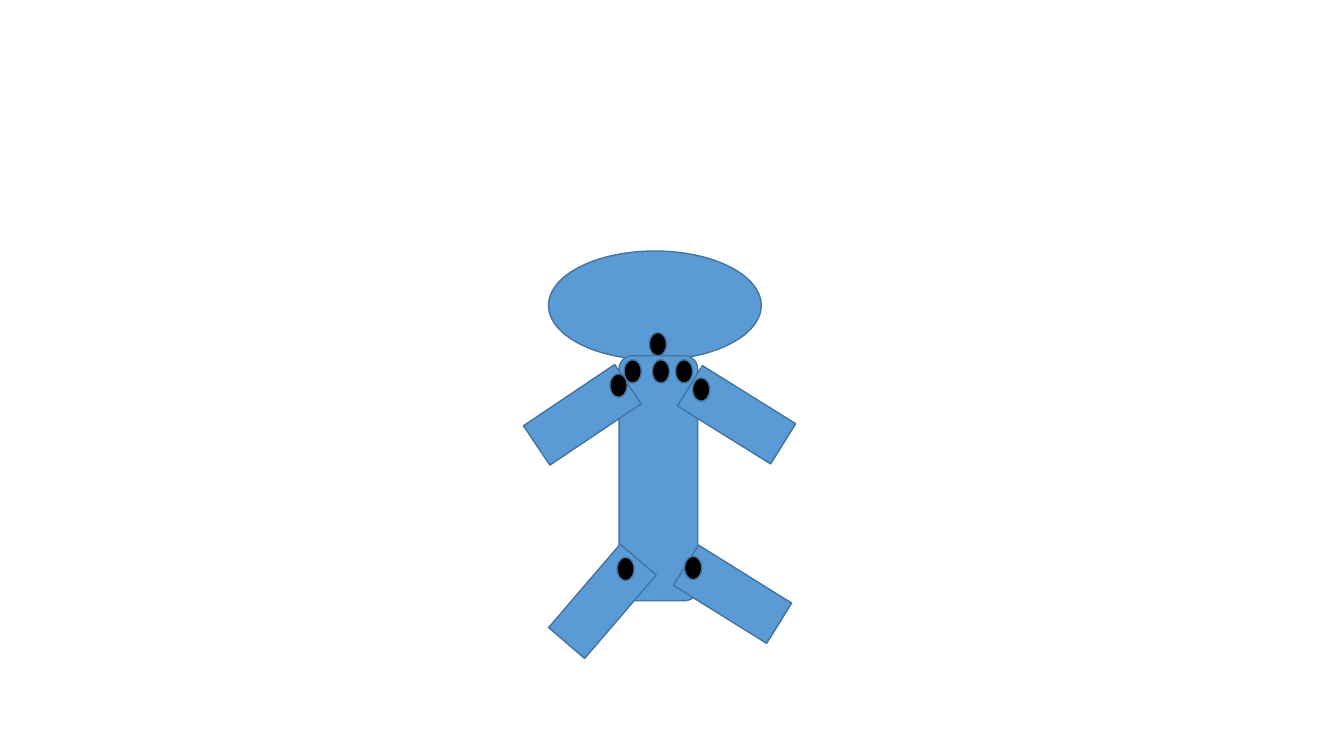
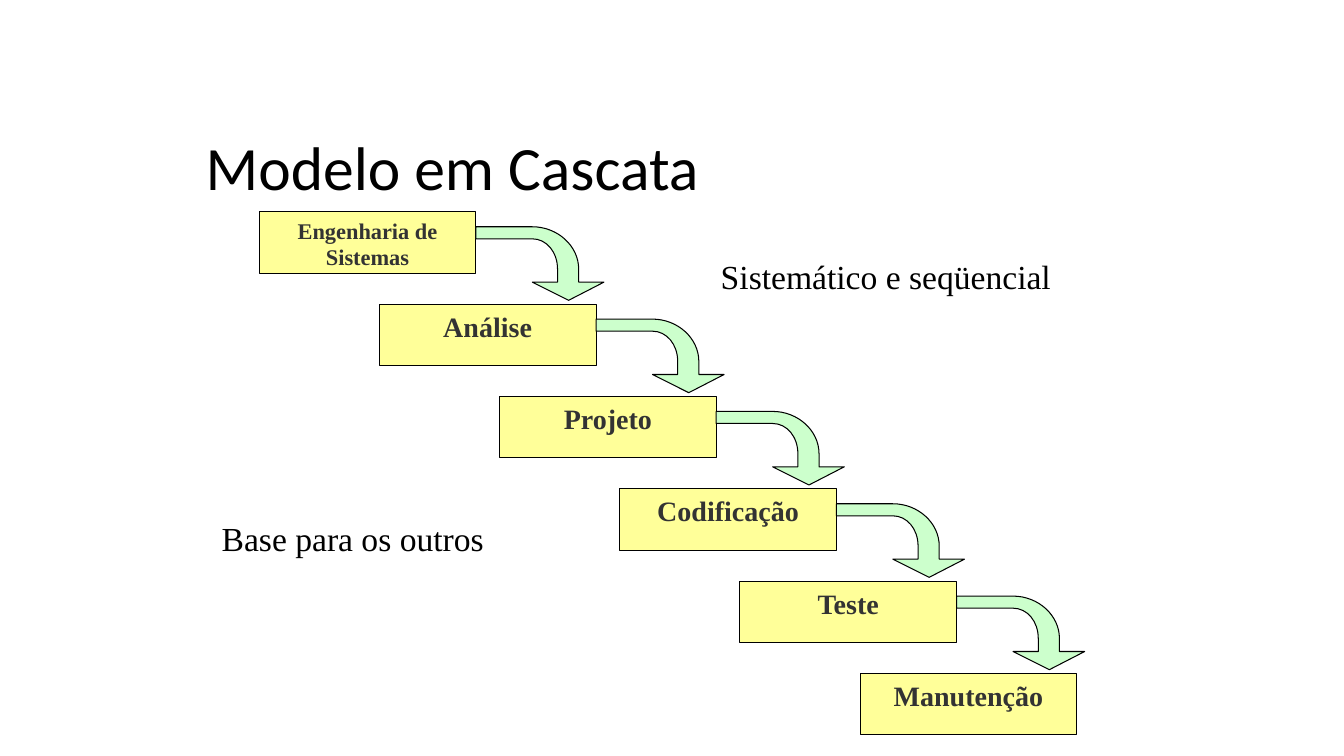
from lxml.etree import SubElement
from pptx import Presentation
from pptx.dml.color import RGBColor
from pptx.enum.shapes import MSO_SHAPE
from pptx.enum.text import MSO_ANCHOR, MSO_AUTO_SIZE, PP_ALIGN
from pptx.oxml.ns import qn
from pptx.util import Inches, Pt

COLORS = {
    "body": "5B9BD5",
    "outline": "43739E",
    "black": "000000",
    "step": "FFFF99",
    "step_text": "333333",
    "arrow": "CCFFCC",
}
TITLE_FONT = "Calibri"
TEXT_FONT = "Times New Roman"

LIMBS = [(1.83, 2.86, 121.9), (0.54, 2.93, 40.6), (1.87, 1.08, 121.9), (0.34, 1.08, 56.1)]
JOINTS = [
    (1.24, 0.81), (1.27, 1.08), (1.5, 1.08), (1.67, 1.26),
    (0.99, 1.08), (0.85, 1.22), (0.92, 3.04), (1.59, 3.03),
]
STEPS = ["Engenharia de Sistemas", "Análise", "Projeto", "Codificação", "Teste", "Manutenção"]
STEP_WIDTH, STEP_HEIGHT = 2.15, 0.61
ARROW_DROP = 0.15
ARROW_OUTLINE = [
    (0.92, 0.73), (1.27, 0.55), (1.02, 0.55), (1.02, 0.42),
    (1.02, 0.19), (0.81, 0), (0.56, 0),
    (0, 0), (0, 0.12), (0.56, 0.12),
    (0.7, 0.12), (0.81, 0.25), (0.81, 0.42),
    (0.81, 0.55), (0.56, 0.55),
]
ARROW_CURVES = (4, 10)


def color(name):
    return RGBColor.from_string(COLORS[name])


def paint(shape, fill, line, weight):
    shape.shadow.inherit = False
    shape.fill.solid()
    shape.fill.fore_color.rgb = color(fill)
    shape.line.color.rgb = color(line)
    shape.line.width = Pt(weight)


def add_box(parent, kind, left, top, width, height, fill, line, weight):
    box = parent.shapes.add_shape(kind, Inches(left), Inches(top), Inches(width), Inches(height))
    paint(box, fill, line, weight)
    return box


def write(frame, text, font, size, ink="black", bold=False, align=PP_ALIGN.LEFT):
    frame.text = text
    para = frame.paragraphs[0]
    para.alignment = align
    para.font.name = font
    para.font.size = Pt(size)
    para.font.bold = bold
    para.font.color.rgb = color(ink)


def add_figure(page, left, top):
    def part(kind, x, y, width, height, fill="body"):
        return add_box(page, kind, left + x, top + y, width, height, fill, "outline", 1)

    part(MSO_SHAPE.OVAL, 0.24, 0, 2.11, 1.08)
    part(MSO_SHAPE.ROUNDED_RECTANGLE, 0.94, 1.04, 0.78, 2.43)
    for x, y, angle in LIMBS:
        part(MSO_SHAPE.FLOWCHART_PROCESS, x, y, 0.47, 1.09).rotation = angle
    for x, y in JOINTS:
        part(MSO_SHAPE.FLOWCHART_CONNECTOR, x, y, 0.17, 0.23, "black")


def bend(shape, starts):
    segments = list(shape.element.iter(qn("a:lnTo")))
    for start in starts:
        lines = segments[start - 1:start + 2]
        outline = lines[0].getparent()
        bezier = SubElement(outline, qn("a:cubicBezTo"))
        outline.insert(outline.index(lines[0]), bezier)
        for line in lines:
            bezier.append(line[0])
            outline.remove(line)


def add_bent_arrow(parent, left, top):
    points = [(Inches(left + x), Inches(top + y)) for x, y in ARROW_OUTLINE]
    builder = parent.shapes.build_freeform(*points[0])
    builder.add_line_segments(points[1:], close=True)
    arrow = builder.convert_to_shape()
    bend(arrow, ARROW_CURVES)
    paint(arrow, "arrow", "black", 0.75)


def add_cascade(page, left, top, width, height):
    group = page.shapes.add_group_shape()
    gaps = len(STEPS) - 1
    step_x = (width - STEP_WIDTH) / gaps
    step_y = (height - STEP_HEIGHT) / gaps
    corners = [(left + i * step_x, top + i * step_y) for i in range(len(STEPS))]
    for (x, y), label in zip(corners, STEPS):
        box = add_box(group, MSO_SHAPE.RECTANGLE, x, y, STEP_WIDTH, STEP_HEIGHT,
                      "step", "black", 0.75)
        box.text_frame.word_wrap = True
        box.text_frame.vertical_anchor = MSO_ANCHOR.TOP
        size = 16 if label == STEPS[0] else 20
        write(box.text_frame, label, TEXT_FONT, size, "step_text", True, PP_ALIGN.CENTER)
    for x, y in corners[:-1]:
        add_bent_arrow(group, x + STEP_WIDTH, y + ARROW_DROP)


def add_note(page, text, left, top, width):
    box = page.shapes.add_textbox(Inches(left), Inches(top), Inches(width), Inches(0.5))
    box.text_frame.word_wrap = False
    box.text_frame.auto_size = MSO_AUTO_SIZE.SHAPE_TO_FIT_TEXT
    write(box.text_frame, text, TEXT_FONT, 24)


def set_title(page, text, left, top, width, height):
    title = page.shapes.title
    title.left, title.top = Inches(left), Inches(top)
    title.width, title.height = Inches(width), Inches(height)
    frame = title.text_frame
    frame.auto_size = MSO_AUTO_SIZE.NONE
    frame.vertical_anchor = MSO_ANCHOR.MIDDLE
    write(frame, text, TITLE_FONT, 44)


def build_figure_slide(deck):
    page = deck.slides.add_slide(deck.slide_layouts[6])
    add_figure(page, 5.2, 2.49)


def build_cascade_slide(deck):
    page = deck.slides.add_slide(deck.slide_layouts[5])
    set_title(page, "Modelo em Cascata", 1.94, 1.02, 8.5, 1.25)
    add_note(page, "Sistemático e seqüencial", 7.05, 2.49, 3.48)
    add_cascade(page, 2.57, 2.1, 8.11, 5.19)
    add_note(page, "Base para os outros", 2.1, 5.09, 2.81)


def main():
    deck = Presentation()
    deck.slide_width, deck.slide_height = Inches(13.33), Inches(7.5)
    build_figure_slide(deck)
    build_cascade_slide(deck)
    deck.save("out.pptx")


if __name__ == "__main__":
    main()
